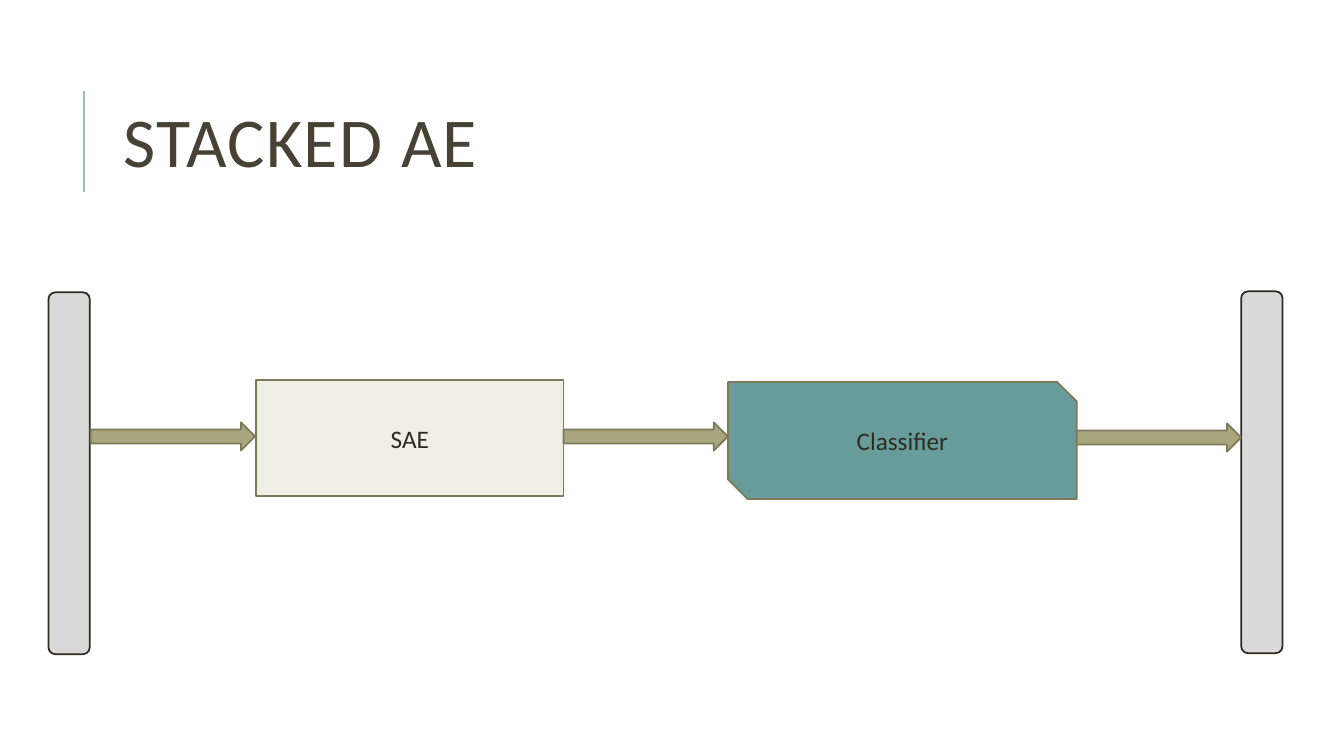
from dataclasses import dataclass

from lxml.etree import SubElement
from pptx import Presentation
from pptx.dml.color import RGBColor
from pptx.enum.shapes import MSO_CONNECTOR, MSO_SHAPE
from pptx.enum.text import MSO_ANCHOR, MSO_AUTO_SIZE, PP_ALIGN
from pptx.oxml.ns import qn
from pptx.slide import Slide
from pptx.text.text import Font
from pptx.util import Inches, Pt

INK = "2E2B21"
OLIVE = "7D7A5C"


@dataclass(frozen=True)
class Block:
    kind: MSO_SHAPE
    left: float
    top: float
    width: float
    height: float
    fill: str
    line: str = OLIVE
    text: str = ""
    rotation: float = 0


def bar(left: float, top: float) -> Block:
    return Block(MSO_SHAPE.ROUNDED_RECTANGLE, left, top, 3.59, 0.41,
                 "D9D9D9", INK, rotation=90)


def arrow(left: float, top: float) -> Block:
    return Block(MSO_SHAPE.RIGHT_ARROW, left, top, 1.63, 0.28, "A9A57C")


# The pipeline, from back to front
BLOCKS = [
    bar(-1.11, 4.49),
    arrow(0.9, 4.19),
    Block(MSO_SHAPE.RECTANGLE, 2.54, 3.77, 3.05, 1.15, "EFEFE5", text="SAE"),
    arrow(5.59, 4.19),
    Block(MSO_SHAPE.SNIP_2_DIAG_RECTANGLE, 7.22, 3.79, 3.46, 1.16, "689C9A",
          text="Classifier"),
    bar(10.72, 4.48),
    arrow(10.68, 4.2),
]


def color(value: str) -> RGBColor:
    return RGBColor.from_string(value)


def set_font(font: Font, size: float, value: str) -> None:
    font.name = "Calibri"
    font.size = Pt(size)
    font.color.rgb = color(value)


def draw_rule(page: Slide) -> None:
    rule = page.shapes.add_connector(
        MSO_CONNECTOR.STRAIGHT, Inches(0.83), Inches(1.9), Inches(0.83), Inches(0.9))
    rule.line.color.rgb = color("9CBEBD")
    rule.line.width = Pt(1.5)
    SubElement(rule._element.spPr, qn("a:effectLst"))


def write_title(page: Slide, text: str) -> None:
    title = page.shapes.title
    title.left, title.top = Inches(1.12), Inches(0.64)
    title.width, title.height = Inches(10.63), Inches(1.64)
    frame = title.text_frame
    frame.text = text
    frame.word_wrap = True
    frame.auto_size = MSO_AUTO_SIZE.NONE
    frame.vertical_anchor = MSO_ANCHOR.MIDDLE
    para = frame.paragraphs[0]
    para.alignment = PP_ALIGN.LEFT
    para.line_spacing = 0.8
    set_font(para.font, 50, "474233")
    para.runs[0].font._element.set("spc", "100")


def draw_block(page: Slide, block: Block) -> None:
    shape = page.shapes.add_shape(
        block.kind, Inches(block.left), Inches(block.top),
        Inches(block.width), Inches(block.height))
    shape.rotation = block.rotation
    shape.shadow.inherit = False
    shape.fill.solid()
    shape.fill.fore_color.rgb = color(block.fill)
    shape.line.color.rgb = color(block.line)
    shape.line.width = Pt(1.25)
    if block.text:
        frame = shape.text_frame
        frame.text = block.text
        frame.vertical_anchor = MSO_ANCHOR.MIDDLE
        para = frame.paragraphs[0]
        para.alignment = PP_ALIGN.CENTER
        set_font(para.font, 18, INK)


def main() -> None:
    deck = Presentation()
    deck.slide_width, deck.slide_height = Inches(13.33), Inches(7.5)
    page = deck.slides.add_slide(deck.slide_layouts.get_by_name("Title Only"))

    # Heading
    draw_rule(page)
    write_title(page, "STACKED AE")

    # Pipeline
    for block in BLOCKS:
        draw_block(page, block)

    deck.save("out.pptx")


if __name__ == "__main__":
    main()
